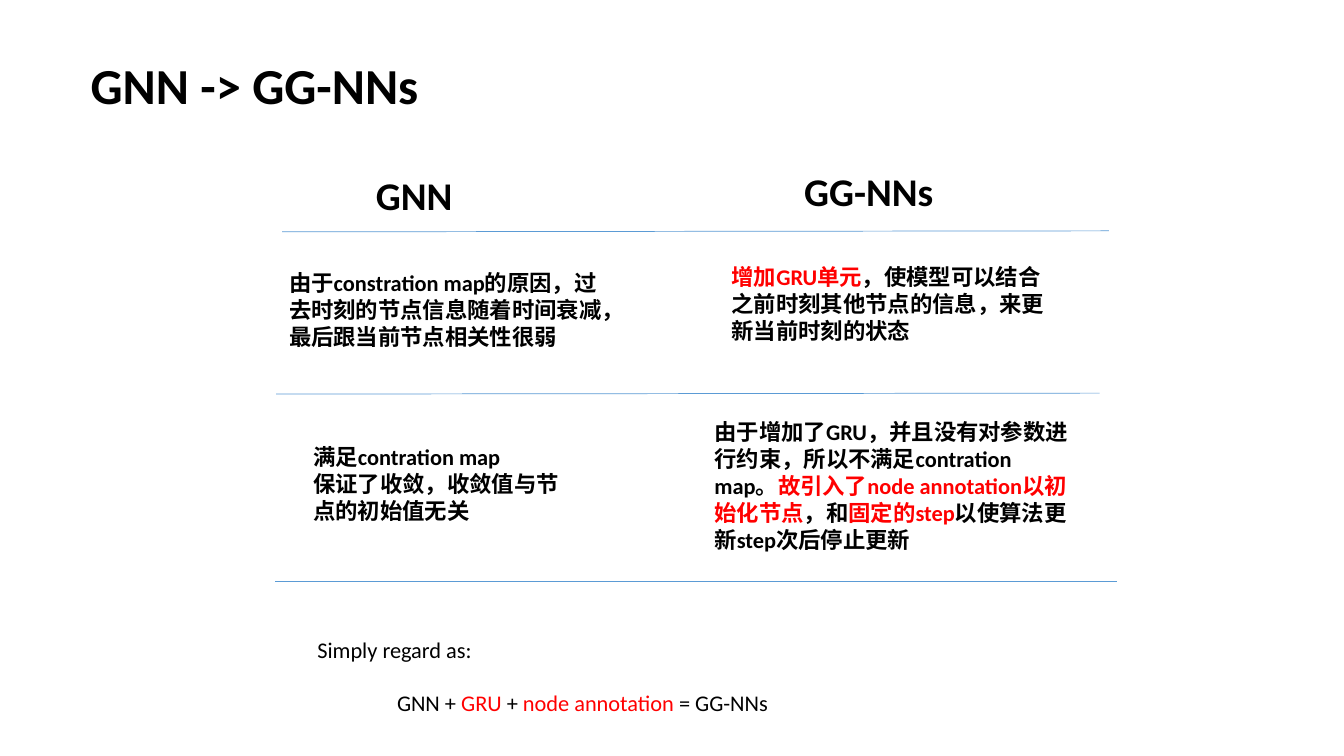
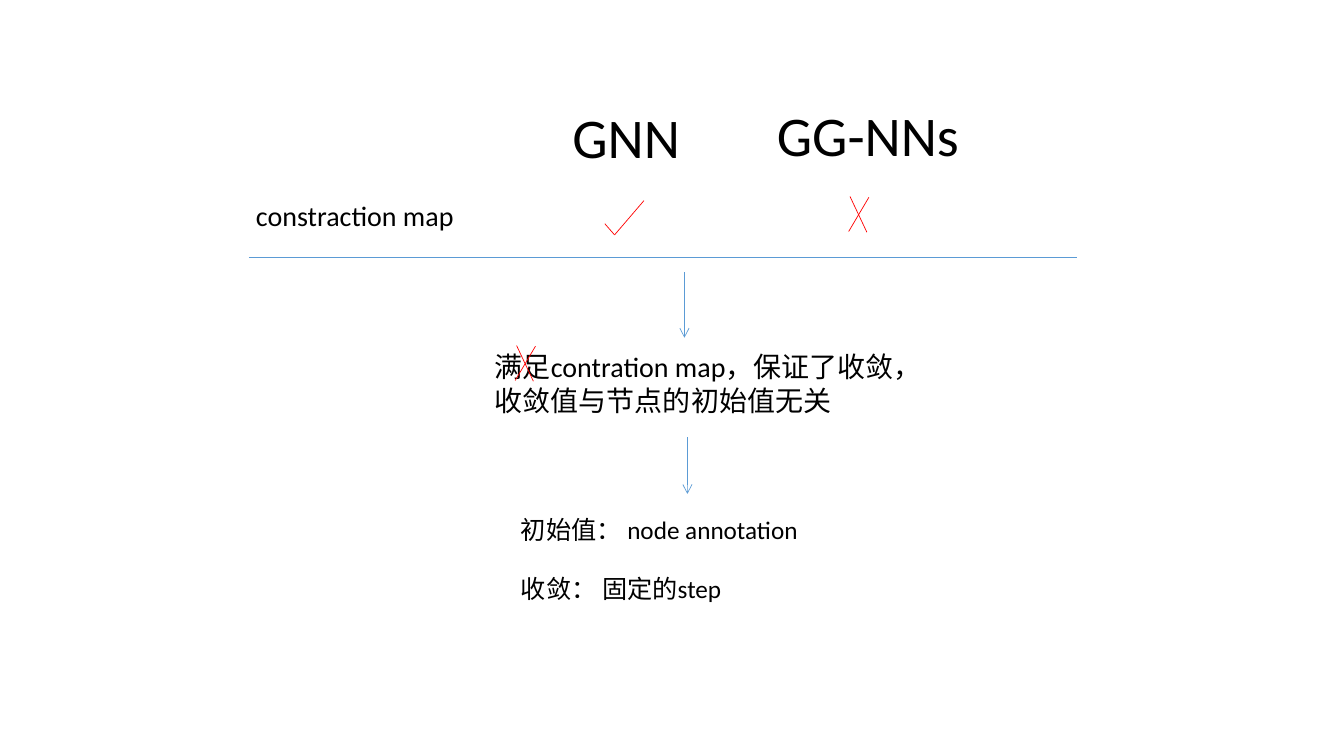
from dataclasses import dataclass

from lxml.etree import SubElement
from pptx import Presentation
from pptx.dml.color import RGBColor
from pptx.enum.shapes import MSO_CONNECTOR as Conn
from pptx.enum.text import MSO_ANCHOR as Anchor, MSO_AUTO_SIZE as AutoSize
from pptx.oxml.ns import qn
from pptx.util import Pt


@dataclass(frozen=True)
class Theme:
    font: str = "Calibri"
    text: RGBColor = RGBColor(0, 0, 0)
    accent: RGBColor = RGBColor(0xFF, 0, 0)
    rule: RGBColor = RGBColor(0x5B, 0x9B, 0xD5)
    line_width: float = 0.5
    banner: int = 40
    title: int = 36
    heading: int = 28
    label: int = 20
    note: int = 18
    body: int = 16


THEME = Theme()


def add_text(slide, box, text, size, bold=False, gap=0):
    """Add one paragraph per line of text; parts between asterisks are red."""
    tb = slide.shapes.add_textbox(*map(Pt, box))
    tf = tb.text_frame
    tf.word_wrap = True
    tf.auto_size = AutoSize.SHAPE_TO_FIT_TEXT
    for i, line in enumerate(text.split("\n")):
        p = tf.add_paragraph() if i else tf.paragraphs[0]
        p.space_before = Pt(gap if i else 0)
        p.font.name = THEME.font
        p.font.size = Pt(size)
        p.font.bold = bold
        p.font.color.rgb = THEME.text
        for j, part in enumerate(line.split("*")):
            if part:
                r = p.add_run()
                r.text = part
                if j % 2:
                    r.font.color.rgb = THEME.accent
    return tf


def add_title(slide, text):
    tf = add_text(slide, (57.6, 29.5, 746.6, 67), text, THEME.title, bold=True)
    tf.auto_size = AutoSize.NONE
    tf.vertical_anchor = Anchor.MIDDLE
    tf.paragraphs[0].line_spacing = 0.9


def add_line(slide, start, end, color=THEME.rule, arrow=False):
    ln = slide.shapes.add_connector(Conn.STRAIGHT, *map(Pt, (*start, *end)))
    ln.line.color.rgb = color
    ln.line.width = Pt(THEME.line_width)
    if arrow:
        SubElement(ln.line._get_or_add_ln(), qn("a:tailEnd"), type="arrow")
    SubElement(ln._element.spPr, qn("a:effectLst"))


def add_mark(slide, x, y, *strokes):
    """Draw red strokes, each (x1, y1, x2, y2) measured from (x, y)."""
    for x1, y1, x2, y2 in strokes:
        add_line(slide, (x + x1, y + y1), (x + x2, y + y2), THEME.accent)


def add_cross(slide, x, y):
    add_mark(slide, x, y, (14.5, 0.5, 0, 25), (1, 0, 13, 25.5))


def add_check(slide, x, y):
    add_mark(slide, x, y, (0, 16.5, 7, 24.5), (7, 24.5, 28, 0))


def build_comparison(slide):
    add_title(slide, "GNN -> GG-NNs")
    add_text(slide, (261.4, 118.8, 109.4, 43), "GNN", THEME.heading, bold=True)
    add_text(slide, (567.4, 116, 149, 41), "GG-NNs", THEME.heading, bold=True)

    for start, end in (
        ((201.6, 165.6), (792, 164.9)),
        ((197.3, 281.5), (785.5, 280.8)),
        ((196.6, 415.4), (797.8, 415.4)),
    ):
        add_line(slide, start, end)

    for box, text in (
        ((199.4, 188.6, 249.1, 65),
         "由于constration map的原因，过去时刻的节点信息随着时间衰减，最后跟当前节点相关性很弱"),
        ((515.5, 184.3, 243.4, 65),
         "*增加GRU单元*，使模型可以结合之前时刻其他节点的信息，来更新当前时刻的状态"),
        ((216.7, 313.2, 201.6, 65),
         "满足contration map\n保证了收敛，收敛值与节点的初始值无关"),
        ((503.3, 295.2, 268.6, 103),
         "由于增加了GRU，并且没有对参数进行约束，所以不满足contration map。"
         "*故引入了node annotation以初始化节点*，和*固定的step*以使算法更新step次后停止更新"),
    ):
        add_text(slide, box, text, THEME.body, bold=True)

    add_text(slide, (219.6, 450.7, 285.8, 26.6), "Simply regard as:", THEME.body)
    add_text(slide, (276.5, 488.9, 504.7, 26.6),
             "GNN + *GRU* + *node annotation* = GG-NNs", THEME.body)


def build_consequences(slide):
    add_text(slide, (401.8, 69.8, 118, 55.4), "GNN", THEME.banner)
    add_text(slide, (547.9, 68.4, 192.2, 55.4), "GG-NNs", THEME.banner)
    add_text(slide, (175.7, 138.2, 188.6, 31), "constraction map", THEME.label)
    add_check(slide, 432, 143.3)
    add_cross(slide, 606.2, 140.4)
    add_line(slide, (177.8, 183.6), (769, 183.6))

    add_line(slide, (488.9, 194.4), (488.9, 241.2), arrow=True)
    add_text(slide, (346.3, 246.2, 338.4, 55.4),
             "满足contration map，保证了收敛，收敛值与节点的初始值无关", THEME.label)
    add_cross(slide, 368, 246.8)

    add_line(slide, (491, 312.5), (491, 352.8), arrow=True)
    add_text(slide, (365, 363.6, 280.8, 72),
             "初始值： node annotation\n收敛： 固定的step", THEME.note, gap=21)


def main():
    prs = Presentation()
    prs.slide_width, prs.slide_height = Pt(960), Pt(540)
    blank = prs.slide_layouts[6]
    for build in (build_comparison, build_consequences):
        build(prs.slides.add_slide(blank))
    prs.save("out.pptx")


if __name__ == "__main__":
    main()
